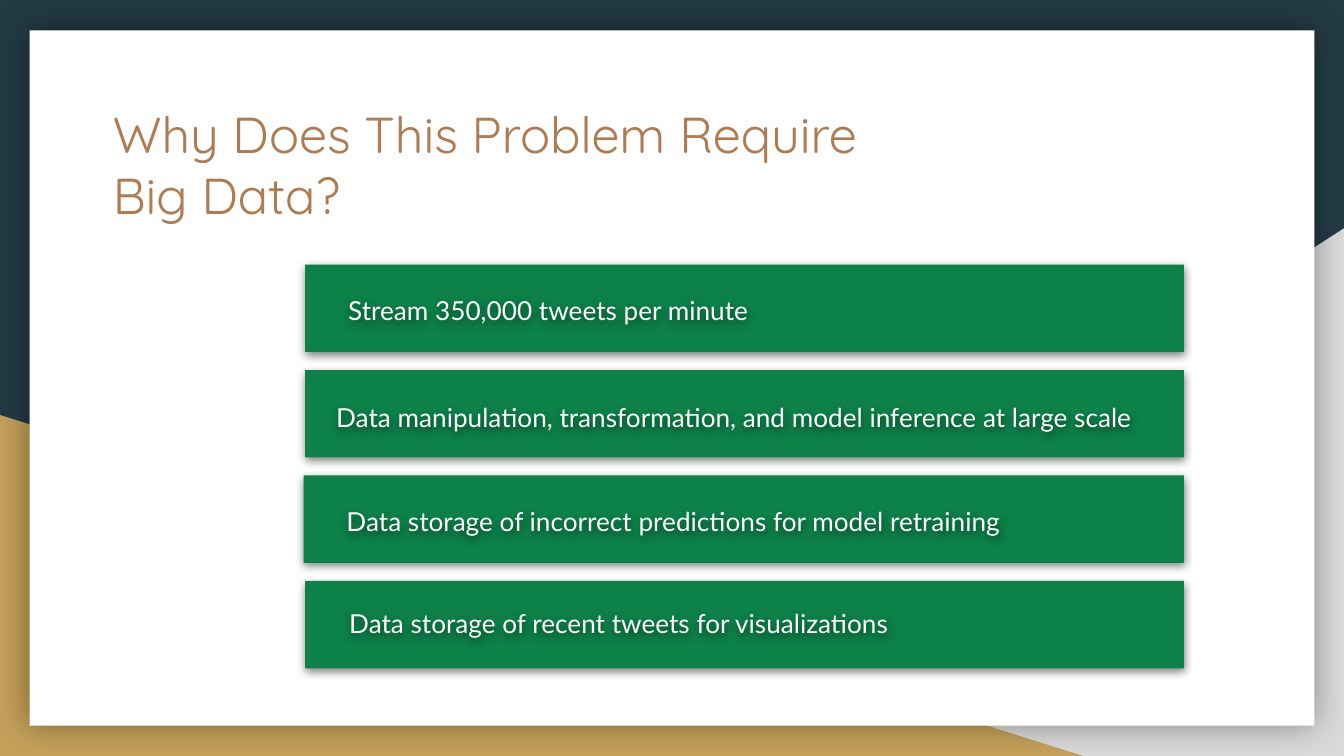
from dataclasses import dataclass
from lxml.etree import SubElement
from pptx import Presentation
from pptx.dml.color import RGBColor
from pptx.enum.shapes import MSO_SHAPE as Shape
from pptx.enum.text import MSO_ANCHOR as Anchor, MSO_AUTO_SIZE as AutoSize, PP_ALIGN as Align
from pptx.oxml.ns import qn
from pptx.util import Inches, Pt

NAVY = RGBColor(0x23, 0x3A, 0x44)
GREY = RGBColor(0xD9, 0xD9, 0xD9)
GOLD = RGBColor(0xC4, 0xA1, 0x5A)
WHITE = RGBColor(0xFF, 0xFF, 0xFF)
BROWN = RGBColor(0xAF, 0x7B, 0x51)
GREEN = RGBColor(0x0C, 0x81, 0x48)

WIDTH = Inches(10)
HEIGHT = WIDTH * 9 // 16


@dataclass(frozen=True)
class Box:
    """Position and size in percent of the slide."""
    left: float
    top: float
    width: float
    height: float

    def emu(self) -> tuple[int, int, int, int]:
        return (round(WIDTH * self.left / 100), round(HEIGHT * self.top / 100),
                round(WIDTH * self.width / 100), round(HEIGHT * self.height / 100))


@dataclass(frozen=True)
class Shadow:
    """Blur and distance in points, opacity in percent."""
    blur: float
    distance: float
    opacity: int


@dataclass(frozen=True)
class Bar:
    """A green bar; the label's top is measured from the bar's top."""
    text: str
    left: float
    label: Box


PANEL_SHADOW = Shadow(18, 0, 40)
BAR_SHADOW = Shadow(4.5, 1.5, 50)

BAR_TOP, BAR_PITCH, BAR_HEIGHT, BAR_RIGHT = 35, 13.95, 11.56, 88.1
BARS = [
    Bar("Stream 350,000 tweets per minute", 22.7, Box(24.93, 1.2, 59.7, 9.07)),
    Bar("Data manipulation, transformation, and model inference at large scale",
        22.7, Box(24.03, 3.35, 62.7, 5.16)),
    Bar("Data storage of incorrect predictions for model retraining",
        22.6, Box(24.8, 3.2, 63.3, 5.16)),
    Bar("Data storage of recent tweets for visualizations",
        22.7, Box(25, 2.7, 57.7, 5.16)),
]


def add_shadow(sp, shadow: Shadow) -> None:
    sp.shadow.inherit = False
    effects = sp._element.spPr.find(qn("a:effectLst"))
    outer = SubElement(effects, qn("a:outerShdw"), blurRad=str(Pt(shadow.blur)),
                       dist=str(Pt(shadow.distance)), dir="5400000",
                       algn="bl", rotWithShape="0")
    color = SubElement(outer, qn("a:srgbClr"), val="000000")
    SubElement(color, qn("a:alpha"), val=str(shadow.opacity * 1000))


def add_block(shapes, kind: Shape, box: Box, color: RGBColor):
    sp = shapes.add_shape(kind, *box.emu())
    sp.fill.solid()
    sp.fill.fore_color.rgb = color
    sp.line.fill.background()
    sp.shadow.inherit = False
    return sp


def style_text(tf, font: str, size: float, color: RGBColor, spacing: float) -> None:
    for p in tf.paragraphs:
        p.alignment = Align.LEFT
        p.line_spacing = spacing
        for r in p.runs:
            r.font.name = font
            r.font.size = Pt(size)
            r.font.color.rgb = color


def add_bar(shapes, bar: Bar, row: int) -> None:
    top = BAR_TOP + row * BAR_PITCH
    group = shapes.add_group_shape()
    box = Box(bar.left, top, BAR_RIGHT - bar.left, BAR_HEIGHT)
    add_shadow(add_block(group.shapes, Shape.RECTANGLE, box, GREEN), BAR_SHADOW)

    label = Box(bar.label.left, top + bar.label.top, bar.label.width, bar.label.height)
    sp = group.shapes.add_textbox(*label.emu())
    add_shadow(sp, BAR_SHADOW)
    tf = sp.text_frame
    tf.word_wrap = True
    tf.vertical_anchor = Anchor.MIDDLE
    tf.text = bar.text
    style_text(tf, "Lato", 14, WHITE, 1.15)


def add_backdrop(s) -> None:
    s.background.fill.solid()
    s.background.fill.fore_color.rgb = NAVY
    corner = add_block(s.shapes, Shape.RIGHT_TRIANGLE, Box(39.2, 30.2, 60.8, 69.8), GREY)
    corner._element.spPr.xfrm.set("flipH", "1")
    add_block(s.shapes, Shape.RIGHT_TRIANGLE, Box(0, 54.9, 80.6, 45.1), GOLD)
    panel = add_block(s.shapes, Shape.RECTANGLE, Box(2.2, 4, 95.6, 92), WHITE)
    add_shadow(panel, PANEL_SHADOW)


def set_title(s, text: str) -> None:
    title = s.shapes.title
    s.shapes._spTree.append(title._element)  # bring in front of the panel
    title.left, title.top, title.width, title.height = Box(7.4, 11.91, 73.1, 10.5).emu()
    tf = title.text_frame
    tf.text = text
    tf.word_wrap = True
    tf.auto_size = AutoSize.NONE
    tf.vertical_anchor = Anchor.TOP
    tf.margin_left = tf.margin_right = tf.margin_top = tf.margin_bottom = Inches(0.1)
    style_text(tf, "Quicksand", 27, BROWN, 1)
    tf.paragraphs[0].space_before = Pt(0)


def main() -> None:
    prs = Presentation()
    prs.slide_width, prs.slide_height = WIDTH, HEIGHT
    s = prs.slides.add_slide(prs.slide_layouts[5])

    # Backdrop and title
    add_backdrop(s)
    set_title(s, "Why Does This Problem Require\vBig Data?")

    # Reasons
    for row, bar in enumerate(BARS):
        add_bar(s.shapes, bar, row)

    prs.save("out.pptx")


if __name__ == "__main__":
    main()
